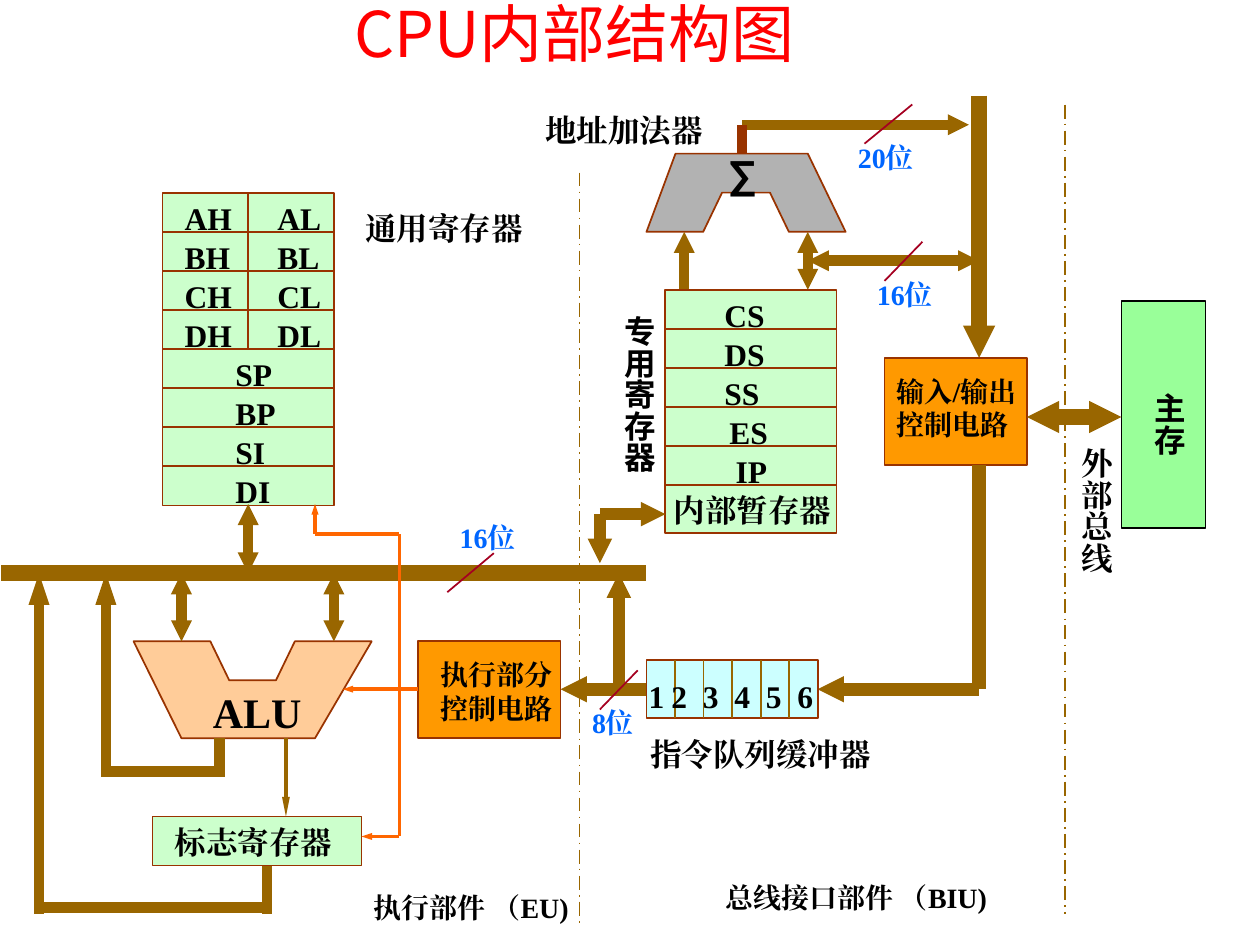
from dataclasses import dataclass

from lxml import etree
from pptx import Presentation
from pptx.dml.color import RGBColor
from pptx.enum import dml, shapes, text
from pptx.oxml import ns
from pptx.util import Pt

BLACK = RGBColor(0, 0, 0)
RED = RGBColor(0xFF, 0, 0)
BLUE = RGBColor(0, 0x66, 0xFF)
BROWN = RGBColor(0x99, 0x66, 0)
RUST = RGBColor(0x99, 0x33, 0)
CRIMSON = RGBColor(0xA5, 0, 0x21)
SIGNAL = RGBColor(0xFF, 0x66, 0)
ORANGE = RGBColor(0xFF, 0x99, 0)
PEACH = RGBColor(0xFF, 0xCC, 0x99)
GRAY = RGBColor(0xB2, 0xB2, 0xB2)
MINT = RGBColor(0xCC, 0xFF, 0xCC)
GREEN = RGBColor(0x99, 0xFF, 0x99)
CYAN = RGBColor(0xCC, 0xFF, 0xFF)
SERIF = "Times New Roman"
ROW = 22.3


def paint(shape, fill, color, weight):
    """Give a closed shape its fill and outline."""
    shape.shadow.inherit = False
    shape.fill.solid()
    shape.fill.fore_color.rgb = fill
    shape.line.color.rgb = color
    shape.line.width = Pt(weight)


@dataclass
class Area:
    """A region of the page whose parts are placed from its top left corner."""
    page: object
    left: float
    top: float
    width: float = 0
    height: float = 0

    def spot(self, x, y):
        """Turn a place in the area into a place on the page."""
        return Pt(self.left + x), Pt(self.top + y)

    def rect(self, x, y, width, height, fill, color=RUST, weight=1):
        """Add a filled rectangle."""
        shape = self.page.shapes.add_shape(
            shapes.MSO_SHAPE.RECTANGLE, *self.spot(x, y), Pt(width), Pt(height))
        paint(shape, fill, color, weight)

    def outline(self, points, fill):
        """Add a filled polygon."""
        corners = [self.spot(*point) for point in points]
        builder = self.page.shapes.build_freeform(*corners[0])
        builder.add_line_segments(corners[1:], close=True)
        paint(builder.convert_to_shape(), fill, RUST, 1)

    def line(self, start, end, weight=6, color=BROWN, ends="", length="sm", dash=None):
        """Add a line, with arrowheads at the ends named by h and t."""
        line = self.page.shapes.add_connector(
            shapes.MSO_CONNECTOR.STRAIGHT, *self.spot(*start), *self.spot(*end))
        line.line.color.rgb = color
        line.line.width = Pt(weight)
        if dash:
            line.line.dash_style = dash
        stroke = line.line._get_or_add_ln()
        for letter, tag in (("h", "a:headEnd"), ("t", "a:tailEnd")):
            if letter in ends:
                etree.SubElement(stroke, ns.qn(tag), type="triangle", w="sm", len=length)
        etree.SubElement(line._element.spPr, ns.qn("a:effectLst"))

    def label(self, words, x, y, width, height=29, size=18, color=BLACK, font=SERIF,
              bold=True, vertical=False, wrap=True, tabs=()):
        """Add a text box and return its frame."""
        box = self.page.shapes.add_textbox(*self.spot(x, y), Pt(width), Pt(height))
        frame = box.text_frame
        frame.word_wrap = wrap
        if vertical:
            frame._txBody.bodyPr.set("vert", "eaVert")
        para = frame.paragraphs[0]
        if tabs:
            stops = etree.SubElement(para._p.get_or_add_pPr(), ns.qn("a:tabLst"))
            for stop in tabs:
                etree.SubElement(stops, ns.qn("a:tab"), pos=str(Pt(stop)), algn="l")
        for index, part in enumerate(words.split("\t")):
            span = para.add_run()
            span.text = "\t" * (index > 0) + part
            span.font.size = Pt(size)
            span.font.bold = bold
            span.font.color.rgb = color
            span.font.name = font
            etree.SubElement(span._r.rPr, ns.qn("a:ea"), typeface=font)
        return frame

    def bit_width(self, words, start, end, x, y):
        """Add a slash across a bus and the number of bits beside it."""
        self.line(start, end, 1, CRIMSON)
        self.label(words, x, y, 65, 27, size=16, color=BLUE)


def title(area):
    """Place the heading of the slide."""
    frame = area.label("CPU内部结构图", 0, 0, area.width, area.height, size=36,
                       color=RED, font="Noto Sans CJK JP", bold=False)
    frame.vertical_anchor = text.MSO_ANCHOR.MIDDLE
    frame.margin_top, frame.margin_bottom = 0, Pt(14)
    frame.paragraphs[0].alignment = text.PP_ALIGN.CENTER


def register_file(area, rows):
    """Draw a stack of registers from pairs of name and indent."""
    area.rect(0, 0, area.width, area.height, MINT)
    for index, (name, indent) in enumerate(rows):
        if index:
            area.line((0, ROW * index), (area.width, ROW * index), 1, RUST)
        area.label(name, indent, ROW * index, 120, tabs=(53,) if "\t" in name else ())


def general_registers(area):
    """Draw the general registers, four of them split in halves."""
    halves = [(f"{name}H\t{name}L", 5.5) for name in "ABCD"]
    register_file(area, halves + [(name, 34.5) for name in ("SP", "BP", "SI", "DI")])
    area.line((49, 0), (49, ROW * 4), 1, RUST)
    area.label("通用寄存器", 108.7, 5.8, 109)


def special_registers(area):
    """Draw the special registers and their link to the internal bus."""
    register_file(area, [("CS", 26.6), ("DS", 26.6), ("SS", 26.6), ("ES", 29.5),
                         ("IP", 33), ("内部暂存器", -2.2)])
    area.label("专用寄存器", -36.7, 7.9, 36, 95, font="Arial", vertical=True, wrap=False)
    area.line((-37.4, 128.2), (0, 128.2), 7, ends="t")
    area.line((-37.4, 128.2), (-37.4, 156.2), 7, ends="t")


def execution_unit(area):
    """Draw the internal bus, the ALU, the flags and the control circuit."""
    bus = 39.6
    area.outline([(76.3, 78.5), (120.2, 78.5), (131, 100.8), (157.7, 100.8), (168.5, 78.5),
                  (212.4, 78.5), (180, 133.9), (103.7, 133.9)], PEACH)
    area.rect(87.1, 178.6, 119.5, 28, MINT)
    area.rect(239, 78.5, 81.4, 55.4, ORANGE)
    area.line((0.7, bus), (369.4, bus), 9.25)
    for x, top, bottom in ((141.8, 0, bus), (103.7, bus, 78.5), (190.8, bus, 78.5)):
        area.line((x, top), (x, bottom), ends="ht")
    for x, right, top, bottom in ((60.5, 125.3, 133.9, 156.2), (22.3, 152.6, 206.6, 234)):
        area.line((x, bus), (x, bottom), ends="h", length="med")
        area.line((x, bottom - 3.3), (right, bottom - 3.3))
        area.line((right, top), (right, bottom))
    area.line((163.4, 133.9), (163.4, 178.6), 2.25, ends="t", length="lg")
    for start, end, ends in (((228.2, 17.3), (228.2, 190), ""), ((180, 17.3), (228.2, 17.3), ""),
                             ((180, 0), (180, 17.3), "h"), ((195.8, 105.8), (239, 105.8), "h"),
                             ((206.6, 190), (228.2, 190), "h")):
        area.line(start, end, 2, SIGNAL, ends, "med")
    area.label("ALU", 114.5, 100.8, 76, 36, size=24)
    area.label("标志寄存器", 92.9, 178.6, 109)
    area.label("执行部分控制电路", 244.8, 84.2, 81.4, 46, size=16)
    area.bit_width("16位", (282.2, 28.1), (255.6, 50.4), 255.6, 5.8)


def address_adder(area):
    """Draw the address adder with the address bus."""
    area.outline([(0, 77.8), (32.4, 77.8), (43.2, 55.4), (70.6, 55.4), (81.4, 77.8),
                  (113.8, 77.8), (92.2, 33.1), (16.6, 33.1)], GRAY)
    area.line((190.1, 0), (190.1, 149.8), 9.25, ends="t")
    area.line((54.7, 16.6), (184.3, 16.6), ends="t")
    area.line((54.7, 16.6), (54.7, 33.1), color=RUST)
    area.line((21.6, 77.8), (21.6, 110.9), ends="h")
    area.line((92.2, 77.8), (92.2, 110.9), ends="ht")
    area.line((92.2, 94.3), (190.1, 94.3), ends="ht")
    area.label("∑", 40.3, 27.4, 38, 36, size=24, font="Roboto")
    area.label("地址加法器", -64.8, 5, 114)
    area.bit_width("20位", (151.9, 5), (124.6, 27.4), 113.8, 22.3)
    area.bit_width("16位", (157.7, 83.5), (136.1, 105.8), 124.6, 100.1)


def bus_control(area):
    """Draw the input and output control, the main memory and the external bus."""
    area.rect(0, 0, area.width, area.height, ORANGE)
    area.rect(135.4, -32.4, 48.2, 129.6, GREEN, BLACK, 0.75)
    area.line((area.width, 33.8), (135.4, 33.8), 9.25, ends="ht")
    area.line((54, area.height), (54, 189.4), 8)
    area.line((-38.2, 189.4), (54, 189.4), 7.5, ends="h")
    area.label("输入/输出控制电路", 0, 5.8, 92, 46, size=16)
    area.label("主存", 141.1, 13, 36, 51, font="Arial", vertical=True)
    area.label("外部总线", 99.4, 44.6, 36, 139, vertical=True)


def instruction_queue(area):
    """Draw the six places of the instruction queue and its outputs."""
    area.rect(0, 0, area.width, area.height, CYAN)
    for index in range(1, 6):
        x = area.width / 6 * index
        area.line((x, 0), (x, area.height), 1)
    area.label("1\t2\t3\t4\t5\t6", -5.8, 5.8, 125, tabs=[13 + 18 * i for i in range(5)])
    area.line((-49, 16.6), (0, 16.6), 7.5, ends="h")
    area.line((-15.8, -49.7), (-15.8, 16.6), 7, ends="h")
    area.label("指令队列缓冲器", -5, 38.9, 152)
    area.bit_width("8位", (-5, 5.8), (-26.6, 28.1), -38.2, 22.3)


def unit_borders(area):
    """Draw the borders between the two units and name the units."""
    for x, top, bottom in ((331.2, 98.6, 527.8), (608.4, 59.8, 522)):
        area.line((x, top), (x, bottom), 1, dash=dml.MSO_LINE.LONG_DASH_DOT)
    area.label("执行部件 （EU)", 206.6, 505.4, 140, 27, size=16)
    area.label("总线接口部件 （BIU)", 407.5, 499.7, 184, 27, size=16)


def main():
    """Build the deck and save it."""
    deck = Presentation()
    deck.slide_width, deck.slide_height = Pt(720), Pt(540)
    page = deck.slides.add_slide(deck.slide_layouts[6])
    general_registers(Area(page, 92.9, 110.2, 97.9, 178.6))
    execution_unit(Area(page, 0, 288, 370, 240))
    address_adder(Area(page, 369.4, 54.7, 190, 150))
    special_registers(Area(page, 380.2, 165.6, 97.9, 139))
    bus_control(Area(page, 505.4, 204.5, 81.4, 61.2))
    instruction_queue(Area(page, 369.4, 377.3, 97.9, 33.1))
    unit_borders(Area(page, 0, 0, 720, 540))
    title(Area(page, 22.3, 0, 612, 51))
    deck.save("out.pptx")


if __name__ == "__main__":
    main()
